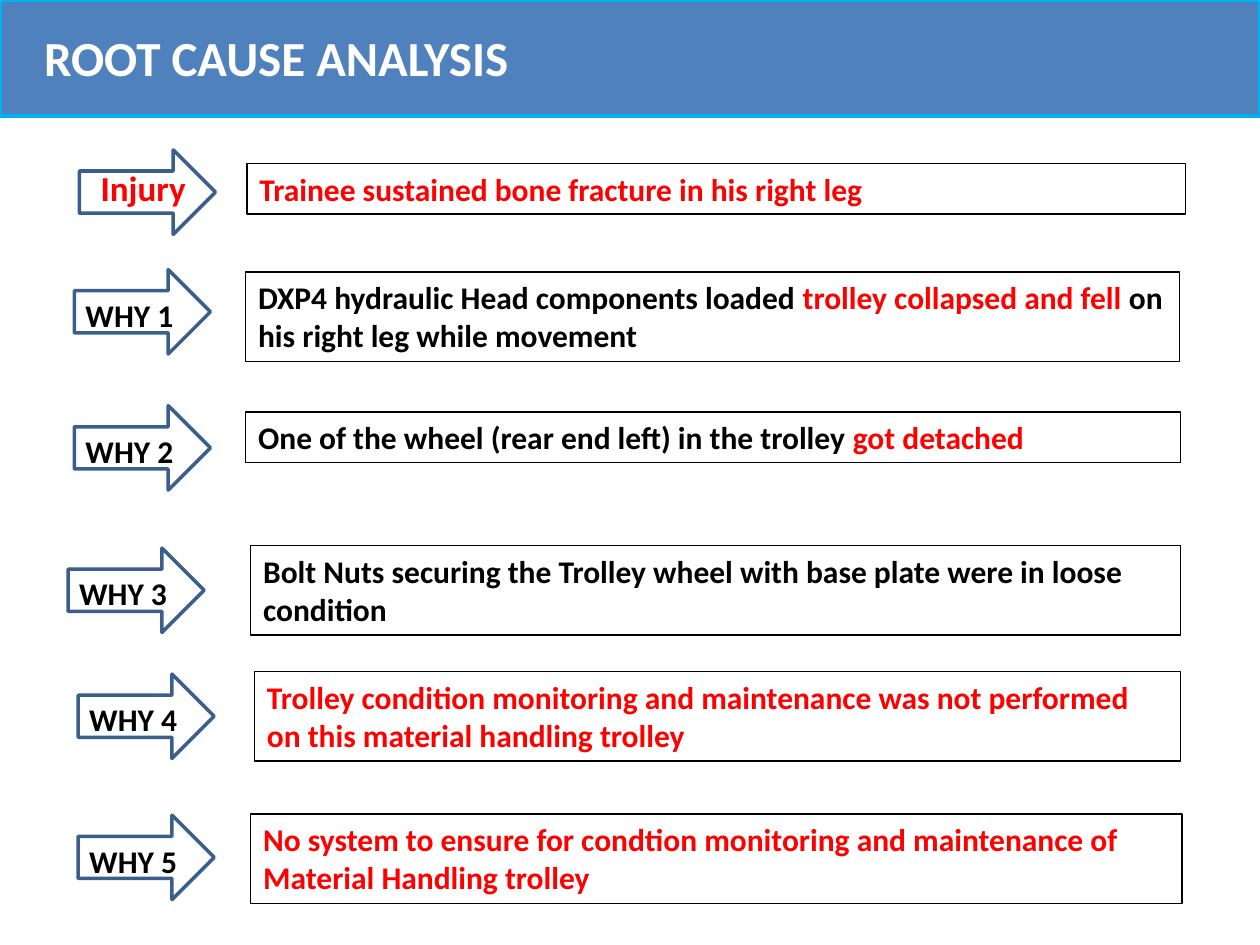
from pptx import Presentation
from pptx.dml.color import RGBColor
from pptx.enum.shapes import MSO_SHAPE
from pptx.enum.text import MSO_ANCHOR, PP_ALIGN
from pptx.util import Inches, Pt

BLACK, RED = "000000", "FF0000"

# label, arrow (left, top), box (left, top, width, height), text runs
ROWS = [
    ("Injury", (0.63, 1.19), (1.96, 1.3, 7.45, 0.4),
     [("Trainee sustained bone fracture in his right leg", RED)]),
    ("WHY 1", (0.59, 2.14), (1.95, 2.16, 7.41, 0.71),
     [("DXP4 hydraulic Head components loaded ", BLACK),
      ("trolley collapsed and fell", RED),
      (" on his right leg while movement", BLACK)]),
    ("WHY 2", (0.59, 3.22), (1.95, 3.27, 7.42, 0.4),
     [("One of the wheel (rear end left) in the trolley ", BLACK),
      ("got detached", RED)]),
    ("WHY 3", (0.54, 4.35), (1.99, 4.33, 7.38, 0.71),
     [("Bolt Nuts securing the Trolley wheel with base plate were in loose condition", BLACK)]),
    ("WHY 4", (0.62, 5.35), (2.02, 5.33, 7.35, 0.71),
     [("Trolley condition monitoring and maintenance was not performed "
       "on this material handling trolley", RED)]),
    ("WHY 5", (0.62, 6.47), (1.99, 6.46, 7.39, 0.71),
     [("No system to ensure for condtion monitoring and maintenance of "
       "Material Handling trolley", RED)]),
]


def rgb(color):
    return RGBColor.from_string(color)


def add_outline(shapes, kind, box, line, width, fill=None):
    sp = shapes.add_shape(kind, *map(Inches, box))
    sp.shadow.inherit = False
    if fill:
        sp.fill.solid()
        sp.fill.fore_color.rgb = rgb(fill)
    else:
        sp.fill.background()
    sp.line.color.rgb = rgb(line)
    sp.line.width = Pt(width)
    return sp


def write(sp, runs, size, anchor=MSO_ANCHOR.TOP):
    """Fill a shape with one bold, left-aligned paragraph of (text, colour) runs."""
    tf = sp.text_frame
    tf.word_wrap = True
    tf.vertical_anchor = anchor
    p = tf.paragraphs[0]
    p.alignment = PP_ALIGN.LEFT
    p.font.name, p.font.size, p.font.bold = "Calibri", Pt(size), True
    for text, color in runs:
        r = p.add_run()
        r.text = text
        r.font.color.rgb = rgb(color)


def add_header(s, left, top, width, height):
    add_outline(s.shapes, MSO_SHAPE.RECTANGLE, (left, top, width, height),
                "00B0F0", 2, "4F81BD")
    title = s.shapes.title
    title.left, title.top = Inches(left + 0.25), Inches(top + 0.17)
    title.width, title.height = Inches(8.08), Inches(0.57)
    write(title, [("ROOT CAUSE ANALYSIS", "FFFFFF")], 28, MSO_ANCHOR.MIDDLE)
    title._element.getparent().append(title._element)  # bring in front of the band


def add_arrow(s, left, top, label):
    group = s.shapes.add_group_shape()
    add_outline(group.shapes, MSO_SHAPE.RIGHT_ARROW, (left, top, 1.08, 0.67), "3A5F8C", 2)
    if label == "Injury":
        dx, dy, height, size, color = 0.07, 0.08, 0.44, 20, RED
    else:
        dx, dy, height, size, color = -0.01, 0.16, 0.4, 18, BLACK
    tb = group.shapes.add_textbox(Inches(left + dx), Inches(top + dy),
                                  Inches(1.01), Inches(height))
    write(tb, [(label, color)], size)


def add_row(s, label, arrow, box, runs):
    sp = add_outline(s.shapes, MSO_SHAPE.RECTANGLE, box, BLACK, 0.75)
    write(sp, runs, 18)
    add_arrow(s, *arrow, label)


def main():
    prs = Presentation()
    prs.slide_width, prs.slide_height = Inches(10), Inches(7.5)
    s = prs.slides.add_slide(prs.slide_layouts[5])
    add_header(s, 0, 0, 10, 0.92)
    for row in ROWS:
        add_row(s, *row)
    prs.save("out.pptx")


if __name__ == "__main__":
    main()
